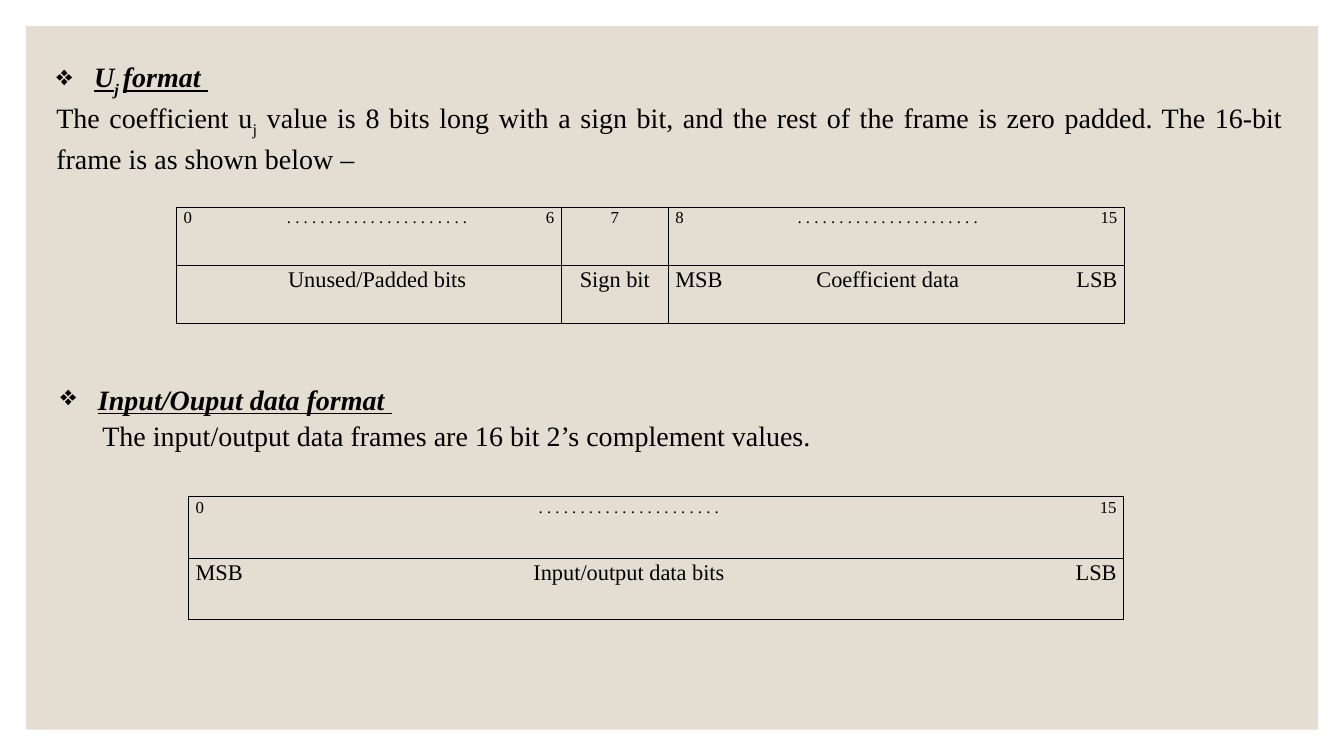
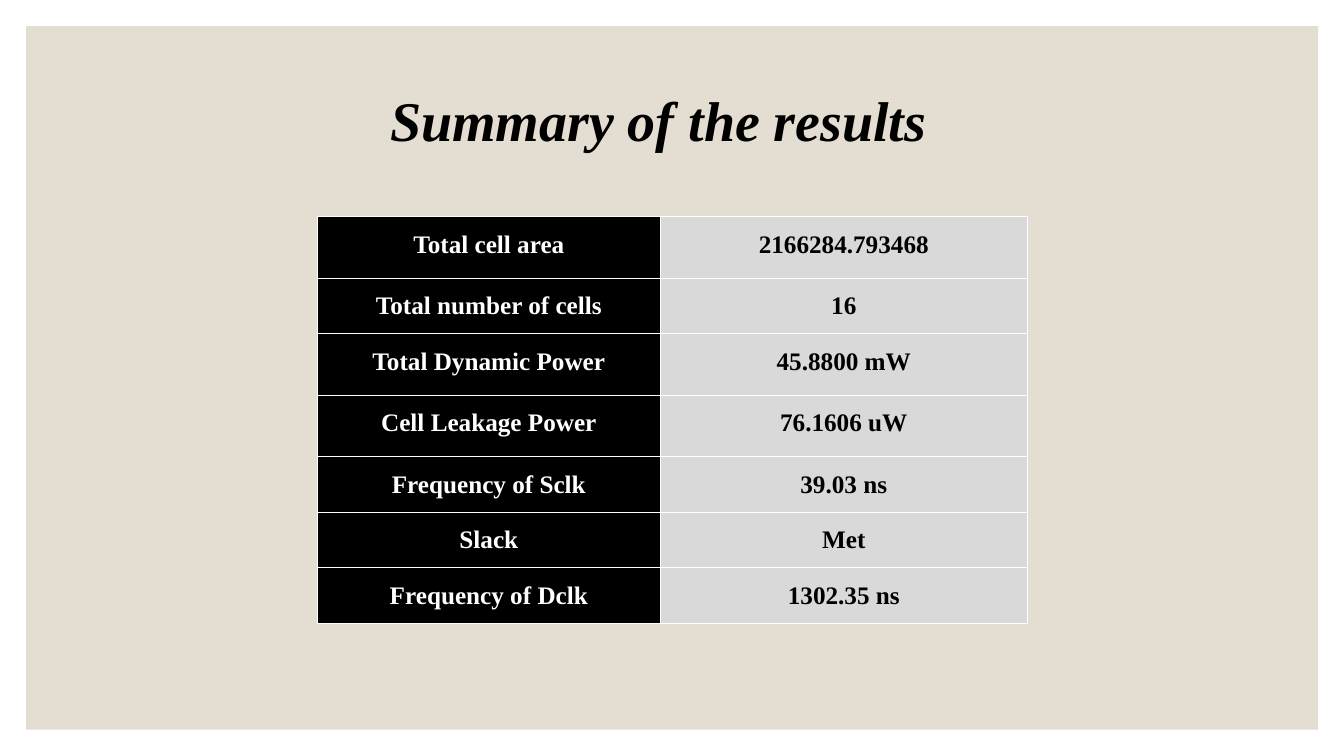
import lxml.etree
import pptx
import pptx.dml.color
import pptx.enum.shapes
import pptx.enum.text
import pptx.oxml.ns
import pptx.util

Cm = pptx.util.Cm
Pt = pptx.util.Pt
RGBColor = pptx.dml.color.RGBColor
Align = pptx.enum.text.PP_ALIGN
qn = pptx.oxml.ns.qn

BLACK = RGBColor(0x00, 0x00, 0x00)
WHITE = RGBColor(0xFF, 0xFF, 0xFF)
SAND = RGBColor(0xE3, 0xDE, 0xD1)
GREY = RGBColor(0xD9, 0xD9, 0xD9)

FONT = "Times New Roman"
LINE_SPACING = 1.07
TITLE = {"size": Pt(40), "bold": True, "italic": True}
HEADING = {"size": Pt(20), "bold": True, "italic": True, "underline": True}
HEADING_SUBSCRIPT = {**HEADING, "underline": False, "subscript": True}
BODY = {"size": Pt(20)}
BODY_SUBSCRIPT = {**BODY, "subscript": True}
BIT_NUMBER = {"size": Pt(12)}
BIT_LABEL = {"size": Pt(16)}
RESULT = {"size": Pt(18), "bold": True}

PANEL = (0.66, 0.66, 32.56, 17.73)
TITLE_BOX = (9.58, 2.03, 14.7, 1.93)
DOTS = ". . . . . . . . . . . . . . . . . . . . . ."

SECTIONS = [
    {
        "box": (1.17, 1.32, 31.42, 2.92),
        "heading": [("U", HEADING), ("j ", HEADING_SUBSCRIPT), ("format ", HEADING)],
        "body": [
            ("The coefficient u", BODY),
            ("j", BODY_SUBSCRIPT),
            (" value is 8 bits long with a sign bit, and the rest of the frame "
             "is zero padded. The 16-bit frame is as shown below –", BODY),
        ],
        "body_indent": 0,
        "frame_position": (4.45, 5.23),
        "columns": (1.6, 6.91, 1.19, 2.69, 2.08, 6.91, 2.51),
        "row_height": 1.46,
        "fields": [(0, 2), (3, 3), (4, 6)],
        "numbers": ("0", DOTS, "6", "7", "8", DOTS, "15"),
        "labels": ("", "Unused/Padded bits", "", "Sign bit", "MSB", "Coefficient data", "LSB"),
    },
    {
        "box": (1.27, 9.45, 32.11, 2.03),
        "heading": [("Input/Ouput data format ", HEADING)],
        "body": [("The input/output data frames are 16 bit 2’s complement values.", BODY)],
        "body_indent": 1.06,
        "frame_position": (4.75, 12.52),
        "columns": (4.75, 12.7, 6.12),
        "row_height": 1.55,
        "fields": [(0, 2)],
        "numbers": ("0", DOTS, "15"),
        "labels": ("MSB", "Input/output data bits", "LSB"),
    },
]

RESULTS_TITLE = "Summary of the results"
RESULTS_POSITION = (8, 5.46)
RESULTS_COLUMNS = (8.64, 9.25)
RESULTS = [
    ("Total cell area", "2166284.793468", 1.55),
    ("Total number of cells", "16", 1.4),
    ("Total Dynamic Power", "45.8800 mW", 1.55),
    ("Cell Leakage Power", "76.1606 uW", 1.55),
    ("Frequency of Sclk", "39.03 ns", 1.4),
    ("Slack", "Met", 1.4),
    ("Frequency of Dclk", "1302.35 ns", 1.4),
]


def lengths(values):
    return [Cm(value) for value in values]


def write_runs(paragraph, runs, color=BLACK):
    for text, text_format in runs:
        run = paragraph.add_run()
        run.text = text
        run.font.name = FONT
        run.font.color.rgb = color
        for name, value in text_format.items():
            if name == "subscript":
                run.font._element.set("baseline", "-25000")
            else:
                setattr(run.font, name, value)


def indent_paragraph(paragraph, margin, first_line, bullet=None):
    properties = paragraph._p.get_or_add_pPr()
    properties.set("marL", str(Cm(margin)))
    properties.set("indent", str(Cm(first_line)))
    if bullet:
        lxml.etree.SubElement(properties, qn("a:buChar")).set("char", bullet)


def add_panel(presentation, slide):
    panel = slide.shapes.add_shape(
        pptx.enum.shapes.MSO_SHAPE.RECTANGLE, *lengths(PANEL))
    panel.shadow.inherit = False
    panel.fill.solid()
    panel.fill.fore_color.rgb = SAND
    panel.line.fill.background()
    presentation.slide_master.shapes.element.insert(2, panel.element)


def add_section_text(slide, section):
    text_box = slide.shapes.add_textbox(*lengths(section["box"]))
    text_frame = text_box.text_frame
    text_frame.word_wrap = True
    heading = text_frame.paragraphs[0]
    body = text_frame.add_paragraph()
    for paragraph in (heading, body):
        paragraph.alignment = Align.JUSTIFY
        paragraph.line_spacing = LINE_SPACING
    indent_paragraph(heading, 0.95, -0.95, "❖")
    indent_paragraph(body, 0, section["body_indent"])
    write_runs(heading, section["heading"])
    write_runs(body, section["body"])


def add_plain_table(slide, position, columns, rows):
    left, top, width, height = lengths((*position, sum(columns), sum(rows)))
    table = slide.shapes.add_table(
        len(rows), len(columns), left, top, width, height).table
    table.first_row = False
    table.horz_banding = False
    for column, column_width in zip(table.columns, columns):
        column.width = Cm(column_width)
    for row, row_height in zip(table.rows, rows):
        row.height = Cm(row_height)
    return table


def set_borders(cell, color, sides):
    properties = cell._tc.get_or_add_tcPr()
    for index, side in enumerate("LRTB"):
        line = lxml.etree.Element(qn("a:ln" + side), w=str(Pt(1)))
        if side in sides:
            fill = lxml.etree.SubElement(line, qn("a:solidFill"))
            lxml.etree.SubElement(fill, qn("a:srgbClr")).set("val", str(color))
        else:
            lxml.etree.SubElement(line, qn("a:noFill"))
        properties.insert(index, line)


def fill_cell(cell, text, text_format, alignment, spacing,
              color=BLACK, background=None, border=BLACK, sides="LRTB"):
    cell.margin_left = cell.margin_right = Cm(0.18)
    cell.margin_top = cell.margin_bottom = 0
    if background is None:
        cell.fill.background()
    else:
        cell.fill.solid()
        cell.fill.fore_color.rgb = background
    set_borders(cell, border, sides)
    paragraph = cell.text_frame.paragraphs[0]
    paragraph.alignment = alignment
    paragraph.line_spacing = spacing
    if text:
        write_runs(paragraph, [(text, text_format)], color)


def add_bit_frame(slide, section):
    table = add_plain_table(slide, section["frame_position"],
                            section["columns"], [section["row_height"]] * 2)
    rows = ((section["numbers"], BIT_NUMBER), (section["labels"], BIT_LABEL))
    for row_index, (texts, text_format) in enumerate(rows):
        for first, last in section["fields"]:
            for column in range(first, last + 1):
                sides = "TB"
                alignment = Align.CENTER
                if column == first:
                    sides += "L"
                    alignment = Align.LEFT
                if column == last:
                    sides += "R"
                    alignment = Align.RIGHT
                if first == last:
                    alignment = Align.CENTER
                fill_cell(table.cell(row_index, column), texts[column], text_format,
                          alignment, LINE_SPACING, sides=sides)


def add_title(slide, text):
    title = slide.shapes.title
    title.left, title.top, title.width, title.height = lengths(TITLE_BOX)
    title.text_frame.vertical_anchor = pptx.enum.text.MSO_ANCHOR.MIDDLE
    title.text_frame.auto_size = pptx.enum.text.MSO_AUTO_SIZE.NONE
    title.text_frame.word_wrap = False
    paragraph = title.text_frame.paragraphs[0]
    paragraph.alignment = Align.LEFT
    write_runs(paragraph, [(text, TITLE)])


def add_results_table(slide):
    table = add_plain_table(slide, RESULTS_POSITION, RESULTS_COLUMNS,
                            [height for name, value, height in RESULTS])
    for row_index, (name, value, height) in enumerate(RESULTS):
        cells = ((name, WHITE, BLACK), (value, BLACK, GREY))
        for column, (text, color, background) in enumerate(cells):
            fill_cell(table.cell(row_index, column), text, RESULT, Align.CENTER, 1.5,
                      color=color, background=background, border=WHITE)


def main():
    presentation = pptx.Presentation()
    presentation.slide_width = Cm(33.87)
    presentation.slide_height = Cm(19.05)
    title_only, blank = presentation.slide_layouts[5], presentation.slide_layouts[6]

    formats_slide = presentation.slides.add_slide(blank)
    add_panel(presentation, formats_slide)
    for section in SECTIONS:
        add_section_text(formats_slide, section)
        add_bit_frame(formats_slide, section)

    results_slide = presentation.slides.add_slide(title_only)
    add_title(results_slide, RESULTS_TITLE)
    add_results_table(results_slide)

    presentation.save("out.pptx")


if __name__ == "__main__":
    main()
